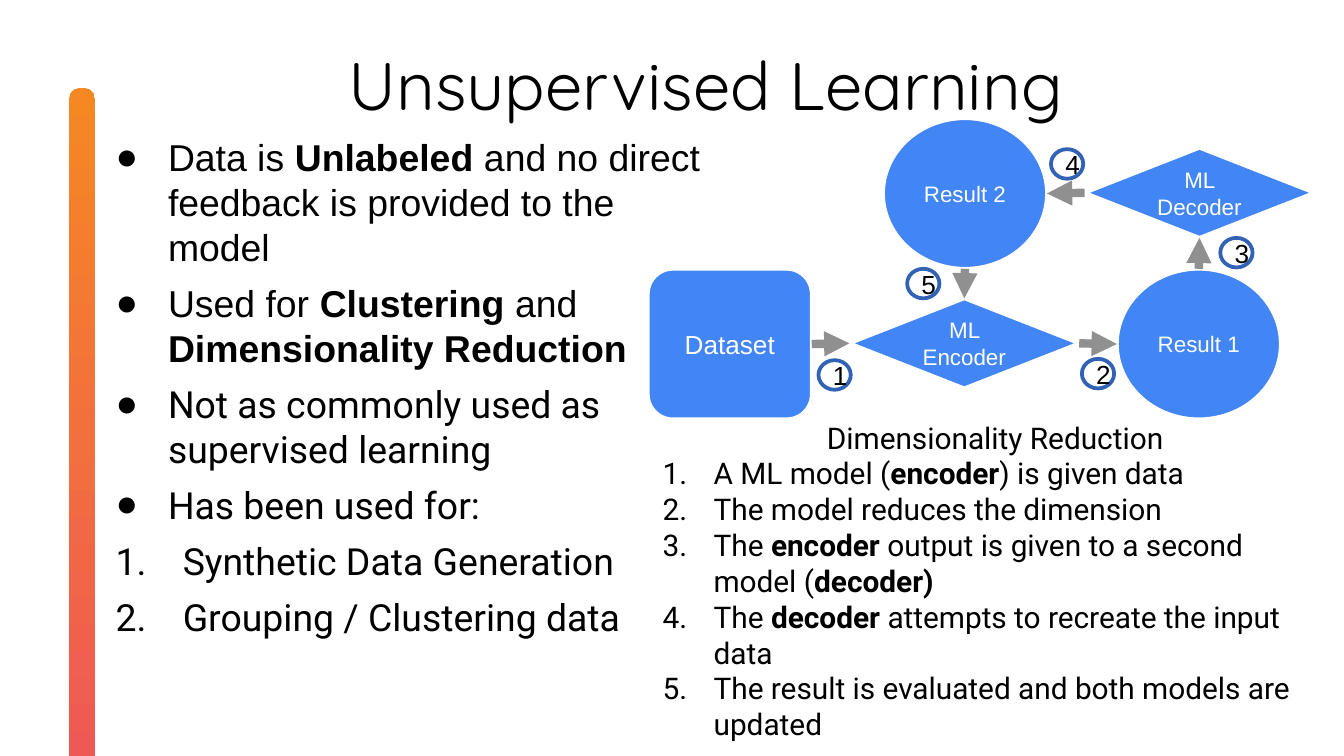
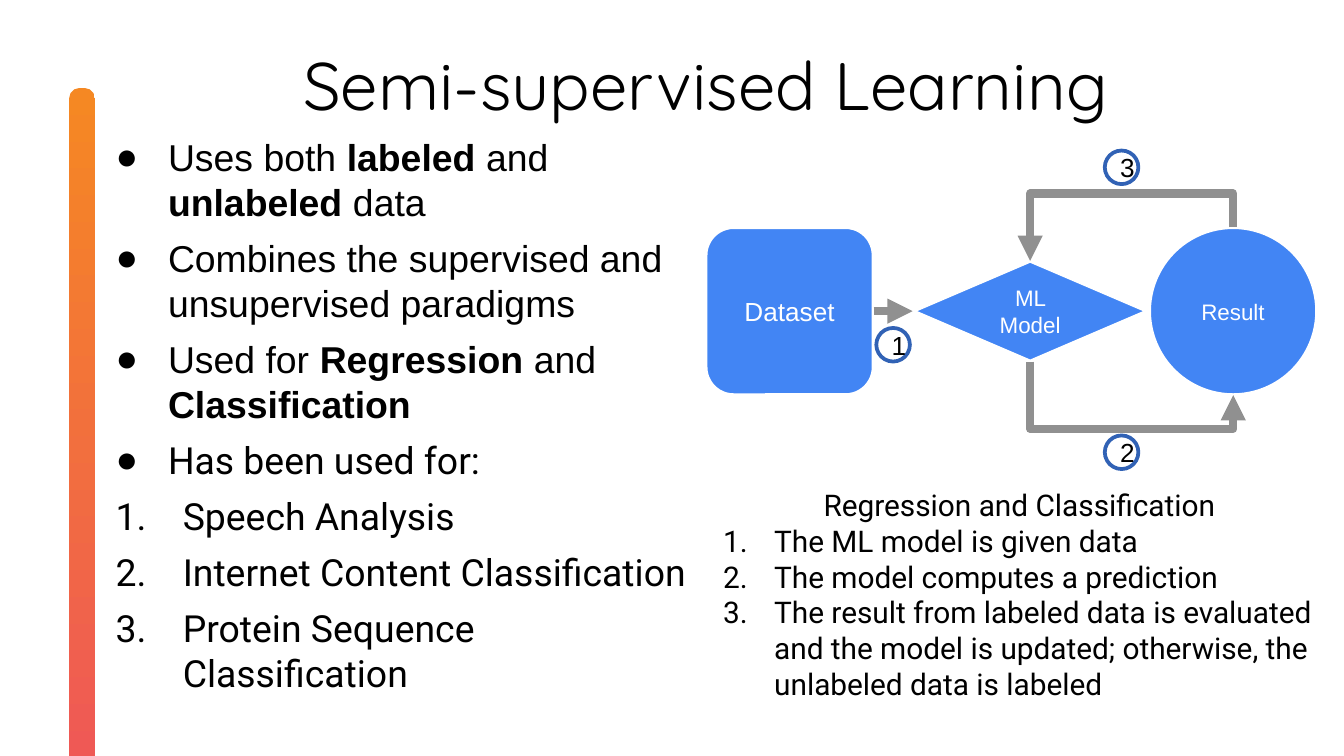
from lxml import etree
from pptx import Presentation
from pptx.dml.color import RGBColor
from pptx.enum import shapes, text
from pptx.oxml import ns
from pptx.util import Emu, Inches, Pt

BLACK = RGBColor(0x00, 0x00, 0x00)
WHITE = RGBColor(0xFF, 0xFF, 0xFF)
NODE_BLUE = RGBColor(0x42, 0x85, 0xF4)
BADGE_BLUE = RGBColor(0x31, 0x62, 0xB5)
ARROW_GRAY = RGBColor(0x90, 0x90, 0x90)
BAR_TOP = RGBColor(0xF5, 0x88, 0x23)
BAR_BOTTOM = RGBColor(0xEF, 0x57, 0x57)

TITLE_FONT, ARIAL, ROBOTO = "Quicksand", "Arial", "Roboto"
TITLE_BOX = (0.75, 0.25, 9, 0.75)
BAR_BOX = (-1.98, 3.15, 5.18, 0.19)
LINE_PITCH = 1.2
TOP, LEFT, BOTTOM, RIGHT = range(4)

BULLET = dict(bullet="●", margin=0.5, hang=0.39, after=6)
NUMBER = dict(bullet="1.", margin=0.61, hang=0.5, after=6)
STEP = dict(bullet="1.", margin=0.49, hang=0.38)

SQUARE = shapes.MSO_SHAPE.ROUNDED_RECTANGLE
DIAMOND = shapes.MSO_SHAPE.DIAMOND
CIRCLE = shapes.MSO_SHAPE.OVAL

SLIDES = [
    dict(
        title="Unsupervised Learning",
        facts_box=(0.75, 1, 4.52, 4.29),
        facts=[
            (ARIAL, "Data is *Unlabeled *and no direct feedback is provided to the model"),
            (ARIAL, "Used for *Clustering *and *Dimensionality Reduction*"),
            (ROBOTO, "Not as commonly used as supervised learning"),
            (ROBOTO, "Has been used for:"),
        ],
        uses=["Synthetic Data Generation", "Grouping / Clustering data"],
        steps_box=(4.82, 3.12, 5.06, 2.42),
        steps_heading="Dimensionality Reduction",
        steps=[
            "A ML model (*encoder*) is given data",
            "The model reduces the dimension",
            "The *encoder *output is given to a second model (*decoder)*",
            "The *decoder *attempts to recreate the input data",
            "The result is evaluated and both models are updated",
        ],
        nodes={
            "Dataset": (SQUARE, 14, (4.82, 2, 1.22, 1.12)),
            "ML Encoder": (DIAMOND, 12, (6.32, 2.22, 1.71, 0.67)),
            "Result 1": (CIRCLE, 12, (8.31, 2, 1.22, 1.12)),
            "ML Decoder": (DIAMOND, 12, (8.07, 1.1, 1.71, 0.67)),
            "Result 2": (CIRCLE, 12, (6.57, 0.88, 1.22, 1.12)),
        },
        arrows=[
            ("Dataset", RIGHT, "ML Encoder", LEFT),
            ("ML Encoder", RIGHT, "Result 1", LEFT),
            ("Result 1", TOP, "ML Decoder", BOTTOM),
            ("ML Decoder", LEFT, "Result 2", RIGHT),
            ("Result 2", BOTTOM, "ML Encoder", TOP),
        ],
        loops=[],
        badge_size=(0.24, 0.22),
        badges=[(6.09, 2.68), (8.05, 2.67), (9.08, 1.77), (7.82, 1.11), (6.75, 2)],
    ),
    dict(
        title="Semi-supervised Learning",
        facts_box=(0.75, 1, 4.52, 4.71),
        facts=[
            (ARIAL, "Uses both *labeled *and *unlabeled *data"),
            (ARIAL, "Combines the supervised and unsupervised paradigms"),
            (ARIAL, "Used for *Regression *and *Classification*"),
            (ROBOTO, "Has been used for:"),
        ],
        uses=[
            "Speech Analysis",
            "Internet Content Classification",
            "Protein Sequence Classification",
        ],
        steps_box=(5.27, 3.62, 4.52, 1.62),
        steps_heading="Regression and Classification",
        steps=[
            "The ML model is given data",
            "The model computes a prediction",
            "The result from labeled data is evaluated and the model is updated; "
            "otherwise, the unlabeled data is labeled",
        ],
        nodes={
            "Dataset": (SQUARE, 14, (5.25, 1.69, 1.25, 1.25)),
            "ML Model": (DIAMOND, 12, (6.79, 1.94, 1.75, 0.75)),
            "Result": (CIRCLE, 12, (8.55, 1.69, 1.25, 1.25)),
        },
        arrows=[("Dataset", RIGHT, "ML Model", LEFT)],
        loops=[
            ("ML Model", BOTTOM, "Result", BOTTOM, 3.19),
            ("Result", TOP, "ML Model", TOP, 1.44),
        ],
        badge_size=(0.25, 0.25),
        badges=[(6.52, 2.44), (8.22, 3.24), (8.22, 1.12)],
    ),
]


def inches(values):
    """Turn plain numbers into lengths."""
    return [Inches(value) for value in values]


def place(holder, box):
    """Move a text holder and make it wrap without insets."""
    holder.left, holder.top, holder.width, holder.height = inches(box)
    frame = holder.text_frame
    frame.word_wrap = True
    frame.margin_left = frame.margin_top = frame.margin_right = frame.margin_bottom = 0
    return frame


def add_child(parent, tag, **attributes):
    """Append a drawing element with its attributes."""
    return etree.SubElement(parent, ns.qn(tag), attributes)


def write(frame, words, font, size, color=BLACK, align=None, bullet=None,
          margin=0, hang=0, after=0, pitch=LINE_PITCH):
    """Write one paragraph, with words between asterisks in bold."""
    first = frame.paragraphs[0]
    paragraph = frame.add_paragraph() if first.runs else first
    properties = paragraph._p.get_or_add_pPr()
    properties.set("marL", str(Inches(margin)))
    properties.set("indent", str(-Inches(hang)))
    if bullet:
        tint = add_child(properties, "a:buClr")
        add_child(tint, "a:srgbClr", val=str(BLACK))
        if bullet == "1.":
            add_child(properties, "a:buFontTx")
            add_child(properties, "a:buAutoNum", type="arabicPeriod")
        else:
            add_child(properties, "a:buFont", typeface=ARIAL)
            add_child(properties, "a:buChar", char=bullet)
    else:
        add_child(properties, "a:buNone")
    paragraph.alignment = align
    paragraph.space_before = Pt(0)
    paragraph.space_after = Pt(after)
    if pitch:
        paragraph.line_spacing = Pt(size * pitch)
    for place_in_line, part in enumerate(words.split("*")):
        if part:
            run = paragraph.add_run()
            run.text = part
            run.font.name = font
            run.font.size = Pt(size)
            run.font.bold = place_in_line % 2 == 1
            run.font.color.rgb = color


def add_title(slide, words):
    """Fill the title placeholder."""
    frame = place(slide.shapes.title, TITLE_BOX)
    frame.auto_size = text.MSO_AUTO_SIZE.NONE
    frame.vertical_anchor = text.MSO_ANCHOR.MIDDLE
    write(frame, words, TITLE_FONT, 36, align=text.PP_ALIGN.CENTER, pitch=None)


def add_bar(slide):
    """Draw the upright gradient bar at the left edge."""
    bar = slide.shapes.add_shape(SQUARE, *inches(BAR_BOX))
    bar.rotation = 90
    bar.adjustments[0] = 0.39
    bar.shadow.inherit = False
    bar.line.fill.background()
    bar.fill.gradient()
    bar.fill.gradient_angle = 0
    for stop, color in zip(bar.fill.gradient_stops, (BAR_TOP, BAR_BOTTOM)):
        stop.color.rgb = color


def add_facts(slide, content):
    """Fill the body placeholder with bullets and numbered uses."""
    frame = place(slide.placeholders[1], content["facts_box"])
    frame.auto_size = text.MSO_AUTO_SIZE.SHAPE_TO_FIT_TEXT
    frame.vertical_anchor = text.MSO_ANCHOR.TOP
    for font, fact in content["facts"]:
        write(frame, fact, font, 20, **BULLET)
    for use in content["uses"]:
        write(frame, use, ROBOTO, 20, **NUMBER)


def add_steps(slide, content):
    """Add the numbered explanation below the diagram."""
    box = content["steps_box"]
    frame = place(slide.shapes.add_textbox(*inches(box)), box)
    frame.auto_size = text.MSO_AUTO_SIZE.SHAPE_TO_FIT_TEXT
    write(frame, content["steps_heading"], ROBOTO, 16,
          align=text.PP_ALIGN.CENTER, margin=0.11)
    for step in content["steps"]:
        write(frame, step, ROBOTO, 16, **STEP)


def add_figure(slide, kind, box, words, size, fill, line, color):
    """Draw one labelled shape of the diagram."""
    figure = slide.shapes.add_shape(kind, *inches(box))
    figure.shadow.inherit = False
    if fill is None:
        figure.fill.background()
    else:
        figure.fill.solid()
        figure.fill.fore_color.rgb = fill
    figure.line.color.rgb = line
    figure.line.width = Pt(2)
    figure.text_frame.vertical_anchor = text.MSO_ANCHOR.MIDDLE
    write(figure.text_frame, words, ARIAL, size, color, text.PP_ALIGN.CENTER)
    return figure


def side_point(figure, side):
    """Return the middle of one side of a figure."""
    across = {LEFT: 0, RIGHT: 2}.get(side, 1)
    down = {TOP: 0, BOTTOM: 2}.get(side, 1)
    return (figure.left + figure.width * across // 2,
            figure.top + figure.height * down // 2)


def style_arrow(arrow):
    """Give a connector its gray line and arrowhead."""
    arrow.line.color.rgb = ARROW_GRAY
    arrow.line.width = Pt(4.5)
    properties = arrow._element.spPr
    add_child(properties.find(ns.qn("a:ln")), "a:tailEnd", type="triangle")
    add_child(properties, "a:effectLst")


def add_arrow(slide, source, source_side, target, target_side):
    """Join two figures with a straight arrow."""
    arrow = slide.shapes.add_connector(
        shapes.MSO_CONNECTOR.STRAIGHT,
        *side_point(source, source_side), *side_point(target, target_side))
    if source.auto_shape_type != CIRCLE:
        arrow.begin_connect(source, source_side)
    if target.auto_shape_type != CIRCLE:
        arrow.end_connect(target, target_side)
    style_arrow(arrow)


def add_loop(slide, source, source_side, target, target_side, level):
    """Draw a U-shaped arrow that runs level between two figures."""
    x0, y0 = side_point(source, source_side)
    x1, y1 = side_point(target, target_side)
    middle_x, middle_y = (x0 + x1) // 2, (y0 + y1) // 2
    half_x, half_y = (x1 - x0) // 2, (y1 - y0) // 2
    arrow = slide.shapes.add_connector(
        shapes.MSO_CONNECTOR.ELBOW,
        Emu(middle_x + half_y), Emu(middle_y - half_x),
        Emu(middle_x - half_y), Emu(middle_y + half_x))
    properties = arrow._element.spPr
    properties.find(ns.qn("a:xfrm")).set("rot", str(270 * 60000))
    geometry = properties.find(ns.qn("a:prstGeom"))
    bend = round((Inches(level) - y0) / (y1 - y0) * 100000)
    add_child(geometry.find(ns.qn("a:avLst")), "a:gd", name="adj1", fmla=f"val {bend}")
    style_arrow(arrow)


def add_diagram(slide, content):
    """Draw the nodes, arrows and step badges."""
    nodes = {
        name: add_figure(slide, kind, box, name, size, NODE_BLUE, WHITE, WHITE)
        for name, (kind, size, box) in content["nodes"].items()
    }
    for source, source_side, target, target_side in content["arrows"]:
        add_arrow(slide, nodes[source], source_side, nodes[target], target_side)
    for source, source_side, target, target_side, level in content["loops"]:
        add_loop(slide, nodes[source], source_side, nodes[target], target_side, level)
    for number, corner in enumerate(content["badges"], 1):
        add_figure(slide, CIRCLE, corner + content["badge_size"], str(number), 14,
                   None, BADGE_BLUE, BLACK)


def main():
    """Build both slides and save the deck."""
    deck = Presentation()
    deck.slide_width = Inches(10)
    deck.slide_height = Emu(deck.slide_width * 9 // 16)
    for content in SLIDES:
        slide = deck.slides.add_slide(deck.slide_layouts[1])
        add_title(slide, content["title"])
        add_facts(slide, content)
        add_bar(slide)
        add_steps(slide, content)
        add_diagram(slide, content)
    deck.save("out.pptx")


if __name__ == "__main__":
    main()
